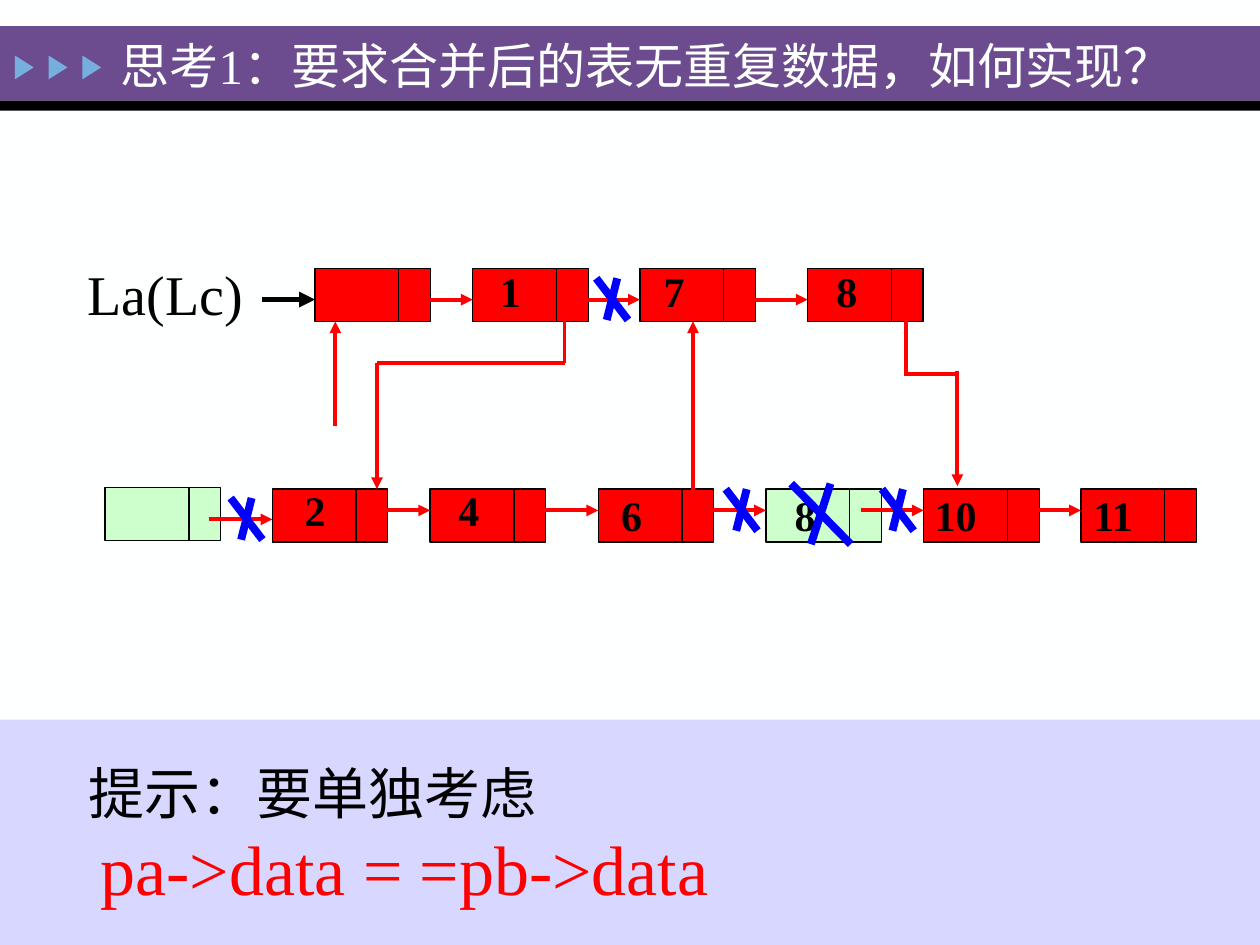
from pptx import Presentation
from pptx.dml.color import RGBColor
from pptx.enum.shapes import MSO_CONNECTOR as Conn, MSO_SHAPE as Shape
from pptx.enum.text import MSO_ANCHOR as Anchor, PP_ALIGN as Align
from pptx.oxml import parse_xml
from pptx.oxml.ns import nsdecls, qn
from pptx.util import Cm, Pt

WHITE = RGBColor(0xFE, 0xFF, 0xFF)
BLACK = RGBColor(0, 0, 0)
PURPLE = RGBColor(0x6C, 0x4C, 0x8F)
SKY = RGBColor(0x76, 0xAE, 0xDD)
LILAC = RGBColor(0xD7, 0xD7, 0xFF)
RED = RGBColor(0xFF, 0, 0)
GREEN = RGBColor(0xCC, 0xFF, 0xCC)
BLUE = RGBColor(0, 0, 0xFF)
FONT = "Times New Roman"

prs = Presentation()
prs.slide_width, prs.slide_height = Cm(25.4), Cm(19.05)
slide = prs.slides.add_slide(prs.slide_layouts[5])
slide.background.fill.solid()
slide.background.fill.fore_color.rgb = WHITE


def add_box(x, y, w, h, fill, edge=None, kind=Shape.RECTANGLE):
    box = slide.shapes.add_shape(kind, Cm(x), Cm(y), Cm(w), Cm(h))
    box.shadow.inherit = False
    box.fill.solid()
    box.fill.fore_color.rgb = fill
    if edge is None:
        box.line.fill.background()
    else:
        box.line.color.rgb = edge
        box.line.width = Pt(0.75)
    return box


def add_line(x1, y1, x2, y2, color=RED, width=2.25, head=False):
    line = slide.shapes.add_connector(Conn.STRAIGHT, Cm(x1), Cm(y1), Cm(x2), Cm(y2))
    line.line.color.rgb = color
    line.line.width = Pt(width)
    if head:
        line.line._get_or_add_ln().append(
            parse_xml(f'<a:tailEnd {nsdecls("a")} type="triangle"/>'))
    line._element.spPr.append(parse_xml(f'<a:effectLst {nsdecls("a")}/>'))


# Title band with three markers
bands = [add_box(0, 0.53, 25.4, 1.5, PURPLE), add_box(0, 2.03, 25.4, 0.2, BLACK)]
for i in range(3):
    mark = add_box(0.25 + 0.68 * i, 1.17, 0.48, 0.38, SKY, kind=Shape.ISOSCELES_TRIANGLE)
    mark.rotation = 90
    bands.append(mark)

# Title, brought in front of the band
title = slide.shapes.title
bands[-1]._element.addnext(title._element)
title.left, title.top, title.width, title.height = Cm(2.18), Cm(0.41), Cm(25.15), Cm(1.8)
title.text_frame.text = "思考1：要求合并后的表无重复数据，如何实现？"
title.text_frame.vertical_anchor = Anchor.MIDDLE
para = title.text_frame.paragraphs[0]
para.alignment = Align.LEFT
para.font.name, para.font.size, para.font.color.rgb = FONT, Pt(28), WHITE

# Hint panel
panel = add_box(0, 14.51, 25.4, 4.62, LILAC)
frame = panel.text_frame
frame.vertical_anchor = Anchor.MIDDLE
frame.margin_left = Cm(1.78)
frame.text = "提示：要单独考虑\npa->data = =pb->data"
for para, size, color, inset in zip(frame.paragraphs, (32, 40), (BLACK, RED), (0, 0.25)):
    para.alignment = Align.LEFT
    para._p.get_or_add_pPr().set("marL", str(Cm(inset)))
    para.font.name, para.font.size, para.font.color.rgb = FONT, Pt(size), color

# List nodes: left, top, fill, label, label left, label top
TOP, LOW = 5.41, 9.86
nodes = [
    (6.35, TOP, RED, "", 0, 0),
    (9.53, TOP, RED, "1", 9.83, 5.23),
    (12.9, TOP, RED, "7", 13.13, 5.23),
    (16.28, TOP, RED, "8", 16.61, 5.23),
    (2.12, 9.83, GREEN, "", 0, 0),
    (5.49, LOW, RED, "2", 5.89, 9.65),
    (8.67, LOW, RED, "4", 8.99, 9.65),
    (12.06, LOW, RED, "6", 12.27, 9.75),
    (15.44, LOW, GREEN, "8", 15.77, 9.75),
    (18.62, LOW, RED, "10", 18.59, 9.75),
    (21.79, LOW, RED, "11", 21.79, 9.75),
]
for x, y, fill, *_ in nodes:
    add_box(x, y, 1.69, 1.07, fill, BLACK)
    add_box(x + 1.69, y, 0.64, 1.07, fill, BLACK)

# Links into each labelled node
for x, y, _, label, *_ in nodes:
    if label:
        mid = 6.04 if y == TOP else 10.47 if label == "2" else 10.29
        add_line(x - 1.27, mid, x, mid, head=True)

# New links between the rows: x1, y1, x2, y2, arrowhead
for *ends, head in [
    (6.76, 8.59, 6.76, 6.48, True),
    (11.38, 6.04, 11.38, 7.32, False),
    (11.38, 7.32, 7.6, 7.32, False),
    (7.6, 7.32, 7.6, 9.86, True),
    (13.97, 10.29, 13.97, 6.48, True),
    (18.26, 6.04, 18.26, 7.54, False),
    (19.29, 7.54, 18.23, 7.54, False),
    (19.3, 7.48, 19.3, 9.8, True),
]:
    add_line(*ends, head=head)
add_line(5.29, 6.04, 6.35, 6.04, BLACK, 3, True)

# Labels: text, left, top, width, height, size, bold
labels = [("La(Lc)", 1.52, 5.11, 3.76, 1.6, 32, False)]
for *_, label, x, y in nodes:
    if label:
        labels.append((label, x, y, 0.94 if len(label) == 1 else 1.35, 1.3, 24, True))
for label, x, y, w, h, size, bold in labels:
    text = slide.shapes.add_textbox(Cm(x), Cm(y), Cm(w), Cm(h)).text_frame
    text.word_wrap = not bold
    text.text = label
    font = text.paragraphs[0].font
    font.name, font.size, font.bold, font.color.rgb = FONT, Pt(size), bold, BLACK

# Crosses over removed links and the removed node
for x, y, w, h in [
    (12.02, 5.61, 0.64, 0.84),
    (14.63, 9.86, 0.64, 0.84),
    (4.65, 10.04, 0.64, 0.84),
    (15.95, 9.75, 1.2, 1.22),
    (17.78, 9.86, 0.64, 0.84),
]:
    add_line(x + w * 0.66, y, x + w * 0.33, y + h, BLUE, 4.5)
    add_line(x, y, x + w, y + h, BLUE, 4.5)

prs.save("out.pptx")
